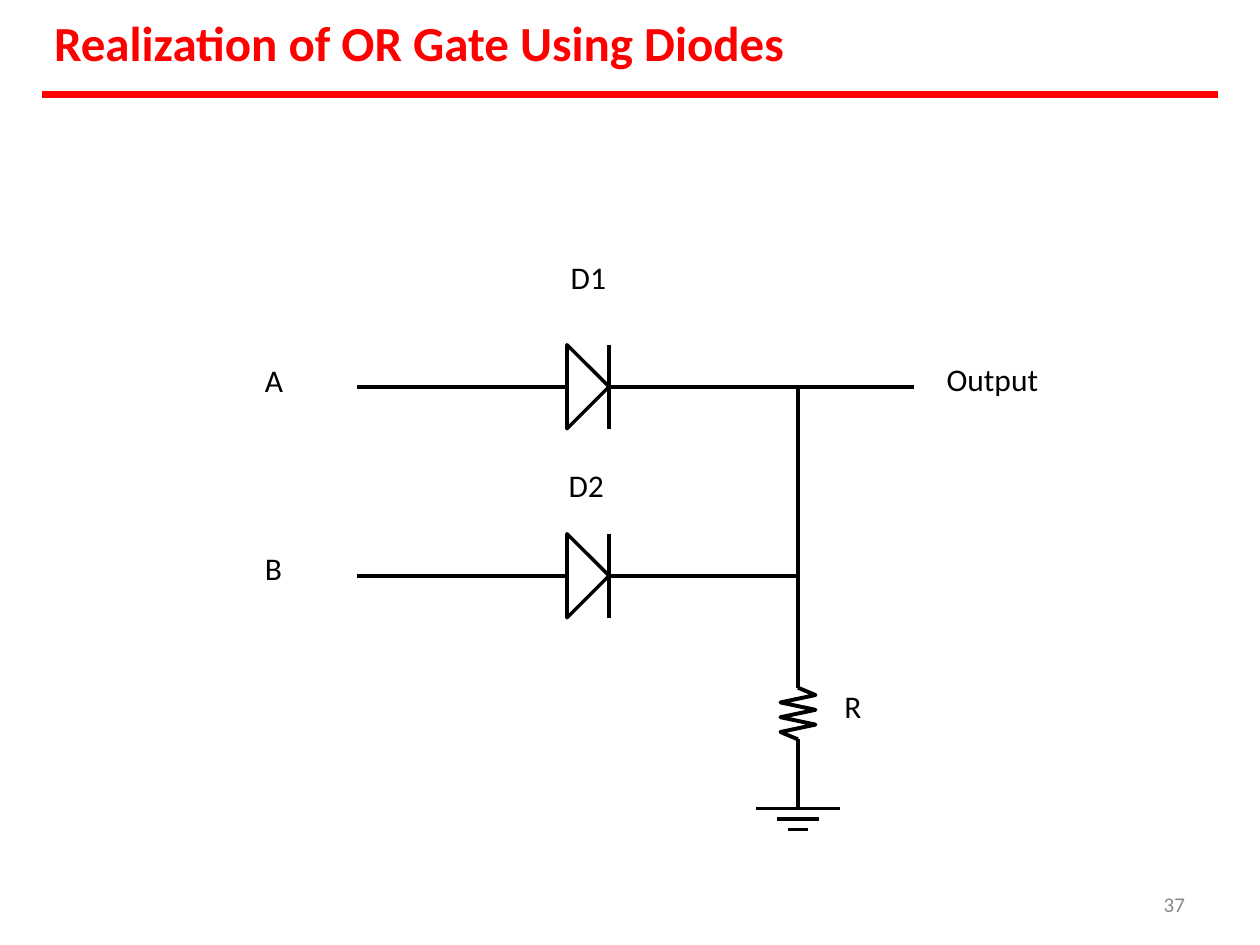
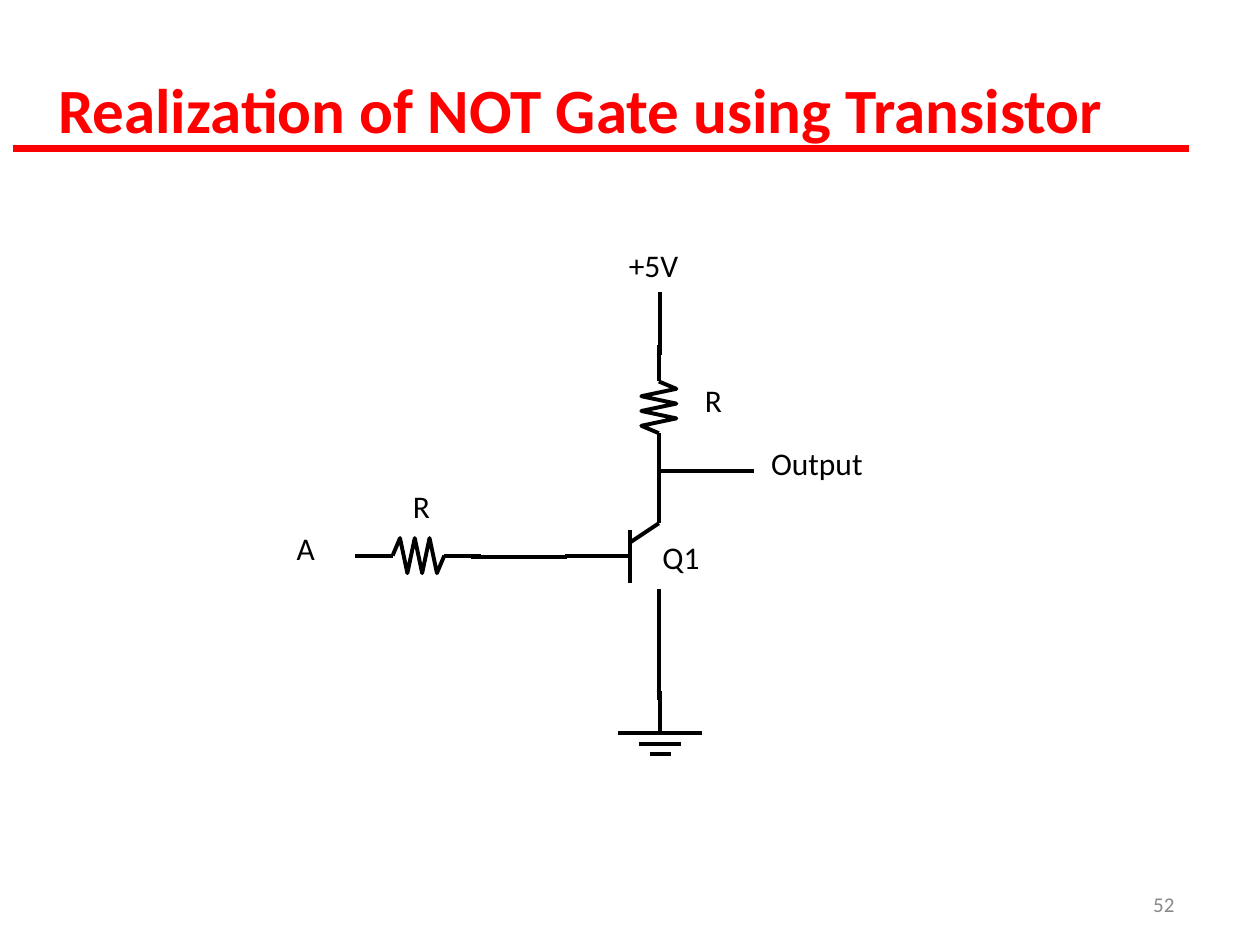
from lxml import etree
from pptx import Presentation
from pptx.dml.color import RGBColor
from pptx.enum.shapes import MSO_CONNECTOR
from pptx.oxml.ns import qn
from pptx.util import Pt

STRAIGHT = MSO_CONNECTOR.STRAIGHT
FONT = "Calibri"
RED, BLACK, GRAY = "FF0000", "000000", "888888"
WIRE, DIODE_BAR, DIODE_OUTLINE, RULE = 2.25, 2.5, 2, 4
RULE_LENGTH = 672
RESISTOR_STEP, RESISTOR_STEPS, RESISTOR_SWING = 4.22, 7, 10
RESISTOR_LENGTH = RESISTOR_STEP * RESISTOR_STEPS
DIODE_LENGTH, DIODE_HALF = 24, 24
GROUND_HALVES, GROUND_GAP = (24, 12, 6), 6

# Content: labels are (text, left, top); wires are (x1, y1, x2, y2)
OR_GATE = {
    "title": ("Realization of OR Gate Using Diodes", 30, 6, 28),
    "rule": (24, 54),
    "page": ("37", 663),
    "labels": [("D1", 325.2, 146.4), ("D2", 324, 265.4), ("R", 481.6, 391.8),
               ("Output", 540, 204.6), ("A", 150.4, 205.2), ("B", 150.4, 312.6)],
    "diodes": [(324, 221), (324, 329)],
    "resistors": [(456, 393, True)],
    "ground": (456, 462),
    "wires": [
        (204, 221, 324, 221), (348, 221, 522, 221),  # input A to output
        (204, 329, 324, 329), (348, 329, 456, 329),  # input B to the junction
        (456, 221, 456, 393),                        # junction to resistor
        (456, 393 + RESISTOR_LENGTH, 456, 462),      # resistor to ground
    ],
}
NOT_GATE = {
    "title": ("Realization of NOT Gate using Transistor", 32.4, 39.6, 36),
    "rule": (7.2, 85),
    "page": ("52", 657),
    "labels": [("+5V", 358.4, 139.8), ("A", 168.6, 301.4), ("R", 235, 277.4),
               ("R", 401.8, 216.8), ("Output", 439.7, 253), ("Q1", 377.6, 306.7)],
    "diodes": [],
    "resistors": [(376.5, 218, True), (224.4, 317.5, False)],
    "ground": (377.2, 419),
    "wires": [
        (377.2, 167, 377.2, 203), (376.5, 197, 376.5, 218),      # supply
        (376.5, 218 + RESISTOR_LENGTH, 376.5, 299),              # collector lead
        (376.5, 269.2, 431, 269.2),                              # output
        (203, 317.5, 224.4, 317.5),                              # input A
        (224.4 + RESISTOR_LENGTH, 317.5, 275, 317.5),
        (269, 318.2, 324, 318.2), (323, 317.5, 360, 317.5),      # base lead
        (360, 303, 360, 333), (360, 310, 376.5, 299),            # transistor
        (376.5, 336.5, 376.5, 400), (377.2, 395, 377.2, 419),    # emitter lead
    ],
}


def color(hex_value):
    return RGBColor.from_string(hex_value)


def add_text(slide, text, left, top, size, hex_value, bold=False,
             width=60, height=24, inset=0.9, spacing=None):
    box = slide.shapes.add_textbox(Pt(left), Pt(top), Pt(width), Pt(height))
    frame = box.text_frame
    frame.word_wrap = False
    frame.margin_left = frame.margin_top = Pt(inset)
    frame.margin_right = frame.margin_bottom = 0
    paragraph = frame.paragraphs[0]
    if spacing:
        paragraph.line_spacing = spacing
    run = paragraph.add_run()
    run.text = text
    run.font.name = FONT
    run.font.size = Pt(size)
    run.font.bold = bold
    run.font.color.rgb = color(hex_value)


def add_line(slide, x1, y1, x2, y2, width=WIRE, hex_value=BLACK):
    line = slide.shapes.add_connector(STRAIGHT, Pt(x1), Pt(y1), Pt(x2), Pt(y2))
    line.line.color.rgb = color(hex_value)
    line.line.width = Pt(width)
    etree.SubElement(line.element.spPr, qn("a:effectLst"))


def add_outline(slide, points, width, close):
    points = [(Pt(x), Pt(y)) for x, y in points]
    builder = slide.shapes.build_freeform(*points[0])
    builder.add_line_segments(points[1:], close=close)
    shape = builder.convert_to_shape()
    shape.fill.background()
    shape.line.color.rgb = color(BLACK)
    shape.line.width = Pt(width)
    etree.SubElement(shape.element.spPr.find(qn("a:ln")), qn("a:round"))
    shape.shadow.inherit = False


def add_diode(slide, left, middle):
    tip, top, bottom = left + DIODE_LENGTH, middle - DIODE_HALF, middle + DIODE_HALF
    add_line(slide, tip, top, tip, bottom, DIODE_BAR)
    add_outline(slide, [(left, top), (tip, middle), (left, bottom)],
                DIODE_OUTLINE, True)


def add_resistor(slide, x, y, vertical):
    points = []
    for step in range(RESISTOR_STEPS + 1):
        along = step * RESISTOR_STEP
        at_end = step in (0, RESISTOR_STEPS)
        swing = 0 if at_end else RESISTOR_SWING * (1 if step % 2 else -1)
        points.append((x + swing, y + along) if vertical else (x + along, y - swing))
    add_outline(slide, points, WIRE, False)


def add_ground(slide, x, y):
    for row, half in enumerate(GROUND_HALVES):
        bar_y = y + row * GROUND_GAP
        add_line(slide, x - half, bar_y, x + half, bar_y)


def add_circuit_slide(presentation, circuit):
    slide = presentation.slides.add_slide(presentation.slide_layouts[6])
    # Title, rule and page number
    title, left, top, size = circuit["title"]
    add_text(slide, title, left, top, size, RED, True, width=640, height=size * 1.25)
    rule_left, rule_top = circuit["rule"]
    add_line(slide, rule_left, rule_top, rule_left + RULE_LENGTH, rule_top, RULE, RED)
    page, page_left = circuit["page"]
    add_text(slide, page, page_left + 2, 509, 12, GRAY,
             width=20, height=14, inset=0, spacing=1.03)
    # Circuit
    for wire in circuit["wires"]:
        add_line(slide, *wire)
    for diode in circuit["diodes"]:
        add_diode(slide, *diode)
    for resistor in circuit["resistors"]:
        add_resistor(slide, *resistor)
    add_ground(slide, *circuit["ground"])
    for label in circuit["labels"]:
        add_text(slide, *label, 18, BLACK)


def main():
    presentation = Presentation()
    presentation.slide_width, presentation.slide_height = Pt(720), Pt(540)
    for circuit in (OR_GATE, NOT_GATE):
        add_circuit_slide(presentation, circuit)
    presentation.save("out.pptx")


if __name__ == "__main__":
    main()
